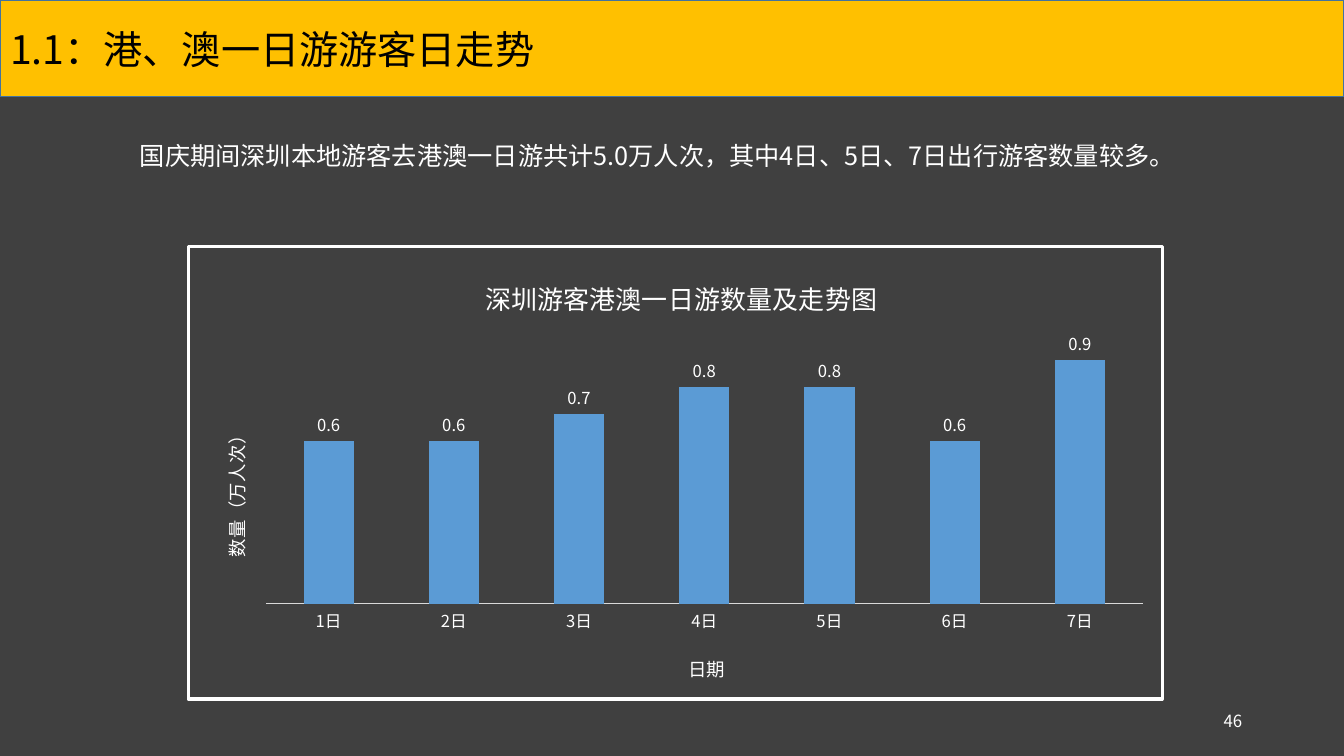
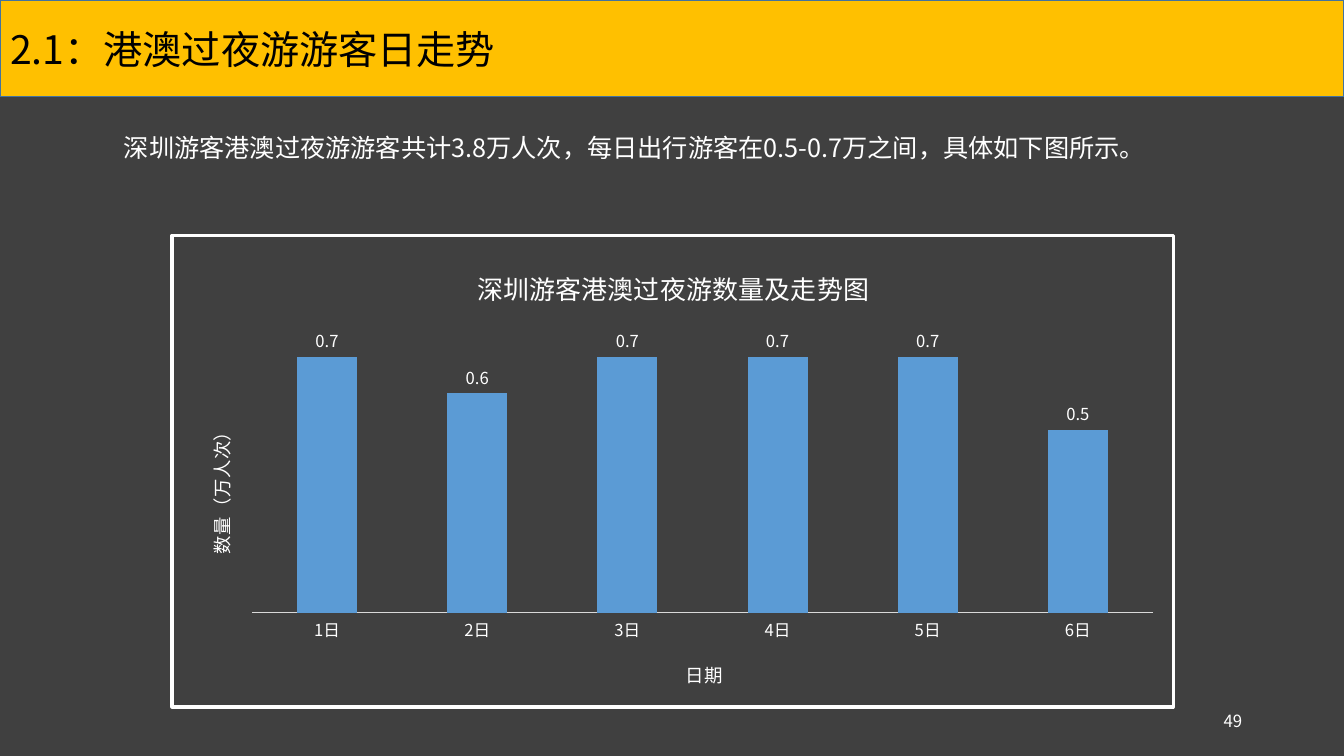
from collections import namedtuple

from lxml import etree
from pptx import Presentation
from pptx import util as u
from pptx.chart.data import CategoryChartData
from pptx.dml.color import RGBColor
from pptx.enum import chart as chart_enum
from pptx.enum import text
from pptx.oxml.ns import qn

FONT = "Noto Sans CJK SC"
BACKGROUND = RGBColor(0x40, 0x40, 0x40)
BAND = RGBColor(0xFF, 0xC0, 0x00)
BAND_LINE = RGBColor(0x43, 0x73, 0x9E)
BLACK = RGBColor(0x00, 0x00, 0x00)
WHITE = RGBColor(0xFF, 0xFF, 0xFF)
AXIS_LINE = RGBColor(0xD9, 0xD9, 0xD9)
BAR = RGBColor(0x5B, 0x9B, 0xD5)

SLIDE_WIDTH, SLIDE_HEIGHT = u.Inches(13.33), u.Inches(7.5)
COLUMN, ROW = SLIDE_WIDTH / 100, SLIDE_HEIGHT / 100

Box = namedtuple("Box", "left top width height")
TITLE_BOX = Box(0, 0, 100, 12.8)
NUMBER_BOX = Box(70.67, 92.67, 22.5, 5.33)

SLIDES = [
    dict(
        title="1.1：港、澳一日游游客日走势",
        summary="国庆期间深圳本地游客去港澳一日游共计5.0万人次，其中4日、5日、7日出行游客数量较多。",
        summary_box=Box(6.75, 15.87, 85.15, 8.5),
        chart_title="深圳游客港澳一日游数量及走势图",
        chart_box=Box(13.88, 32.4, 72.7, 60.27),
        values=[0.6, 0.6, 0.7, 0.8, 0.8, 0.6, 0.9],
        maximum=1.0,
        plot_rows=(0.19, 0.6),
        number=46,
    ),
    dict(
        title="2.1：港澳过夜游游客日走势",
        summary="深圳游客港澳过夜游游客共计3.8万人次，每日出行游客在0.5-0.7万之间，具体如下图所示。",
        summary_box=Box(5.55, 14.8, 81.7, 8.5),
        chart_title="深圳游客港澳过夜游数量及走势图",
        chart_box=Box(12.68, 30.93, 74.72, 62.8),
        values=[0.7, 0.6, 0.7, 0.7, 0.7, 0.5],
        maximum=0.8,
        plot_rows=(0.18, 0.62),
        number=49,
    ),
]


def on_grid(box):
    return (
        u.Emu(round(box.left * COLUMN)),
        u.Emu(round(box.top * ROW)),
        u.Emu(round(box.width * COLUMN)),
        u.Emu(round(box.height * ROW)),
    )


def set_font(font, size, color):
    font.name = FONT
    font.size = u.Pt(size)
    font.bold = False
    font.color.rgb = color
    latin = font._rPr.find(qn("a:latin"))
    east_asian = etree.Element(qn("a:ea"), typeface=FONT)
    latin.addnext(east_asian)


def write(shape, content, size, color, alignment, anchor):
    frame = shape.text_frame
    frame.word_wrap = True
    frame.auto_size = text.MSO_AUTO_SIZE.NONE
    frame.vertical_anchor = anchor
    paragraph = frame.paragraphs[0]
    paragraph.text = content
    paragraph.alignment = alignment
    set_font(paragraph.font, size, color)
    return paragraph


def add_title(slide, content, box):
    title = slide.shapes.title
    title.left, title.top, title.width, title.height = on_grid(box)
    title.fill.solid()
    title.fill.fore_color.rgb = BAND
    title.line.color.rgb = BAND_LINE
    title.line.width = u.Pt(1)
    write(title, content, 28, BLACK, text.PP_ALIGN.LEFT, text.MSO_ANCHOR.MIDDLE)


def add_summary(slide, content, box):
    shape = slide.shapes.add_textbox(*on_grid(box))
    paragraph = write(shape, content, 18, WHITE, text.PP_ALIGN.JUSTIFY, text.MSO_ANCHOR.TOP)
    paragraph.line_spacing = 1.5
    paragraph._p.get_or_add_pPr().set("indent", str(u.Inches(0.39)))


def add_number(slide, number, box):
    shape = slide.shapes.add_textbox(*on_grid(box))
    write(shape, str(number), 12, WHITE, text.PP_ALIGN.RIGHT, text.MSO_ANCHOR.MIDDLE)


def set_layout(element, position, **shares):
    for old in element.findall(qn("c:layout")):
        element.remove(old)
    layout = etree.Element(qn("c:layout"))
    manual = etree.SubElement(layout, qn("c:manualLayout"))
    if "w" in shares:
        etree.SubElement(manual, qn("c:layoutTarget"), val="inner")
    for name in ("x", "y"):
        etree.SubElement(manual, qn(f"c:{name}Mode"), val="edge")
    for name, share in shares.items():
        etree.SubElement(manual, qn(f"c:{name}"), val=str(share))
    element.insert(position, layout)


def write_chart_title(title, content, size, x, y):
    paragraph = title.text_frame.paragraphs[0]
    run = paragraph.add_run()
    run.text = content
    set_font(paragraph.font, size, WHITE)
    set_font(run.font, size, WHITE)
    set_layout(title._element, 1, x=x, y=y)


def add_border(chart):
    properties = etree.Element(qn("c:spPr"))
    etree.SubElement(properties, qn("a:noFill"))
    line = etree.SubElement(properties, qn("a:ln"), w=str(u.Pt(2.25)))
    fill = etree.SubElement(line, qn("a:solidFill"))
    etree.SubElement(fill, qn("a:srgbClr"), val=str(WHITE))
    chart._chartSpace.find(qn("c:chart")).addnext(properties)


def add_daily_chart(slide, chart_title, values, maximum, plot_rows, box):
    data = CategoryChartData(number_format="0.0")
    data.categories = [f"{day}日" for day in range(1, len(values) + 1)]
    data.add_series("Series 1", values)
    chart = slide.shapes.add_chart(
        chart_enum.XL_CHART_TYPE.COLUMN_CLUSTERED, *on_grid(box), data
    ).chart
    set_font(chart.font, 10, BLACK)
    add_border(chart)
    chart.has_legend = False
    chart.has_title = True
    write_chart_title(chart.chart_title, chart_title, 18.6, 0.3, 0.055)

    days = chart.category_axis
    days.major_tick_mark = chart_enum.XL_TICK_MARK.NONE
    days.format.line.color.rgb = AXIS_LINE
    days.format.line.width = u.Pt(0.75)
    set_font(days.tick_labels.font, 11.9, WHITE)
    write_chart_title(days.axis_title, "日期", 13.2, 0.51, 0.89)

    amounts = chart.value_axis
    amounts.minimum_scale, amounts.maximum_scale = 0, maximum
    amounts.has_major_gridlines = False
    amounts.tick_labels.number_format = "0.0"
    amounts.tick_labels.number_format_is_linked = False
    write_chart_title(amounts.axis_title, "数量（万人次）", 13.2, 0.03, 0.39)
    body = amounts.axis_title._element.find(".//" + qn("a:bodyPr"))
    body.set("rot", "-5400000")
    body.set("vert", "horz")
    amounts.visible = False

    plot = chart.plots[0]
    plot.gap_width = 150
    plot.vary_by_categories = False
    bars = plot.series[0]
    bars.format.fill.solid()
    bars.format.fill.fore_color.rgb = BAR
    plot.has_data_labels = True
    labels = plot.data_labels
    labels.show_value = True
    labels.number_format = "0.0"
    labels.number_format_is_linked = False
    labels.position = chart_enum.XL_LABEL_POSITION.OUTSIDE_END
    set_font(labels.font, 11.9, WHITE)

    plot_top, plot_height = plot_rows
    plot_area = chart._chartSpace.find(".//" + qn("c:plotArea"))
    set_layout(plot_area, 0, x=0.08, y=plot_top, w=0.9, h=plot_height)


def add_trend_slide(presentation, content):
    slide = presentation.slides.add_slide(presentation.slide_layouts[5])
    add_title(slide, content["title"], TITLE_BOX)
    add_summary(slide, content["summary"], content["summary_box"])
    add_number(slide, content["number"], NUMBER_BOX)
    add_daily_chart(
        slide,
        content["chart_title"],
        content["values"],
        content["maximum"],
        content["plot_rows"],
        content["chart_box"],
    )


def main():
    presentation = Presentation()
    presentation.slide_width, presentation.slide_height = SLIDE_WIDTH, SLIDE_HEIGHT
    background = presentation.slide_master.background.fill
    background.solid()
    background.fore_color.rgb = BACKGROUND
    for content in SLIDES:
        add_trend_slide(presentation, content)
    presentation.save("out.pptx")


if __name__ == "__main__":
    main()
